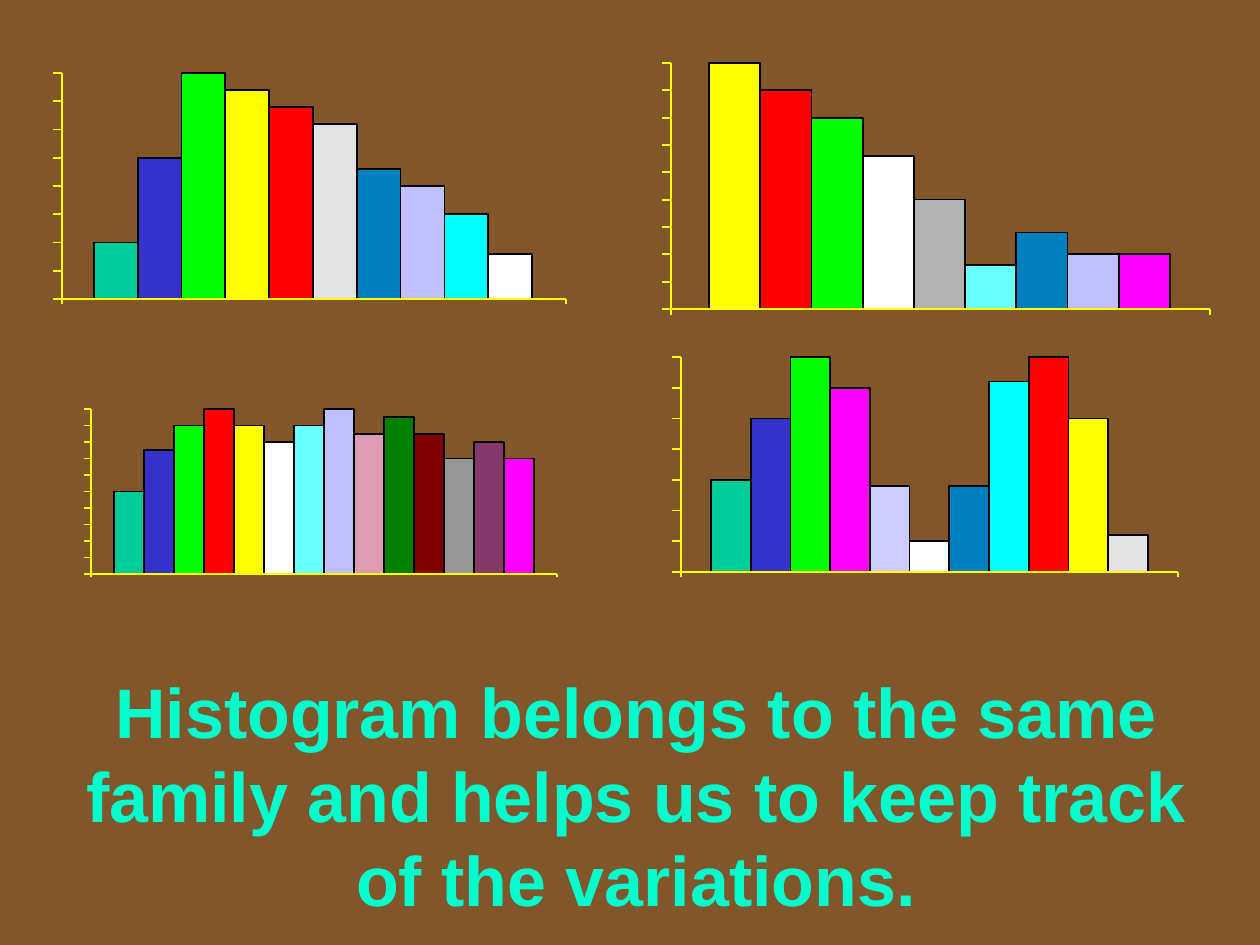
from dataclasses import dataclass

from lxml.etree import SubElement
from pptx import Presentation
from pptx.dml.color import RGBColor
from pptx.enum.shapes import MSO_CONNECTOR, MSO_SHAPE
from pptx.enum.text import PP_ALIGN
from pptx.oxml.ns import qn
from pptx.util import Emu, Pt

EMU_PER_INCH = 914400
PX_PER_INCH = 126


def px(length):
    return Emu(round(length * EMU_PER_INCH / PX_PER_INCH))


def color(hex_code):
    return RGBColor.from_string(hex_code)


@dataclass
class Histogram:
    axis_left: int
    axis_right: int
    top: int
    base: int
    bars_left: int
    bars_right: int
    intervals: int
    tick: int
    end_tick: int
    bars: list


class HistogramSlide:
    font = "Arial"
    background = "81562B"
    axis_color = "FFFF00"
    outline = "000000"
    message_color = "00FFCC"
    line_width = Pt(1)

    def __init__(self, deck):
        self.slide = deck.slides.add_slide(deck.slide_layouts[6])
        fill = self.slide.background.fill
        fill.solid()
        fill.fore_color.rgb = color(self.background)

    def text(self, words, left, top, width, height, size, bold=False, leading=None):
        message = self.slide.shapes.add_textbox(px(left), px(top), px(width), px(height))
        message.text_frame.word_wrap = True
        paragraph = message.text_frame.paragraphs[0]
        paragraph.text = words
        paragraph.alignment = PP_ALIGN.CENTER
        paragraph.line_spacing = leading
        paragraph.font.name = self.font
        paragraph.font.size = Pt(size)
        paragraph.font.bold = bold
        paragraph.font.color.rgb = color(self.message_color)

    def bar(self, group, left, top, right, base, fill):
        column = group.shapes.add_shape(
            MSO_SHAPE.RECTANGLE, px(left), px(top), px(right - left), px(base - top))
        column.shadow.inherit = False
        column.fill.solid()
        column.fill.fore_color.rgb = color(fill)
        column.line.color.rgb = color(self.outline)
        column.line.width = self.line_width

    def line(self, group, x1, y1, x2, y2):
        stroke = group.shapes.add_connector(
            MSO_CONNECTOR.STRAIGHT, px(x1), px(y1), px(x2), px(y2))
        stroke.line.color.rgb = color(self.axis_color)
        stroke.line.width = self.line_width
        SubElement(stroke._element.spPr, qn("a:effectLst"))

    def histogram(self, h):
        group = self.slide.shapes.add_group_shape()
        unit = (h.base - h.top) / h.intervals
        step = (h.bars_right - h.bars_left) / len(h.bars)
        for i, (value, fill) in enumerate(h.bars):
            left = h.bars_left + i * step
            self.bar(group, left, h.base - value * unit, left + step, h.base, fill)

        self.line(group, h.axis_left, h.top, h.axis_left, h.base)
        for i in range(h.intervals + 1):
            y = h.base - i * unit
            self.line(group, h.axis_left - h.tick, y, h.axis_left, y)
        self.line(group, h.axis_left, h.base, h.axis_right, h.base)
        for x in (h.axis_left, h.axis_right):
            self.line(group, x, h.base + h.end_tick, x, h.base)


HISTOGRAMS = [
    Histogram(62, 566, 73, 299, 94, 532, 8, 9, 5, [
        (2, "00CC99"), (5, "3333CC"), (8, "00FF00"), (7.4, "FFFF00"),
        (6.8, "FF0000"), (6.2, "E3E3E3"), (4.6, "0080C0"), (4, "C0C0FF"),
        (3, "00FFFF"), (1.6, "FFFFFF")]),
    Histogram(671, 1210, 63, 309, 709, 1170, 9, 9, 6, [
        (9, "FFFF00"), (8, "FF0000"), (7, "00FF00"), (5.6, "FFFFFF"),
        (4, "B2B2B2"), (1.6, "69FFFF"), (2.8, "0080C0"), (2, "C0C0FF"),
        (2, "FF00FF")]),
    Histogram(681, 1178, 357, 572, 711, 1148, 7, 9, 5, [
        (3, "00CC99"), (5, "3333CC"), (7, "00FF00"), (6, "FF00FF"),
        (2.8, "CCCCFF"), (1, "FFFFFF"), (2.8, "0080C0"), (6.2, "00FFFF"),
        (7, "FF0000"), (5, "FFFF00"), (1.2, "E3E3E3")]),
    Histogram(91, 557, 409, 574, 114, 534, 10, 7, 3, [
        (5, "00CC99"), (7.5, "3333CC"), (9, "00FF00"), (10, "FF0000"),
        (9, "FFFF00"), (8, "FFFFFF"), (9, "69FFFF"), (10, "C0C0FF"),
        (8.5, "DD9CB3"), (9.5, "008000"), (8.5, "800000"), (7, "969696"),
        (8, "85396A"), (7, "FF00FF")]),
]


def main():
    deck = Presentation()
    deck.slide_width = px(1260)
    deck.slide_height = px(945)
    page = HistogramSlide(deck)
    page.text(
        "Histogram belongs to the same family and helps us to keep track of the variations.",
        left=53, top=662, width=1166, height=265, size=40, bold=True, leading=Pt(48))
    for histogram in HISTOGRAMS:
        page.histogram(histogram)
    deck.save("out.pptx")


if __name__ == "__main__":
    main()
